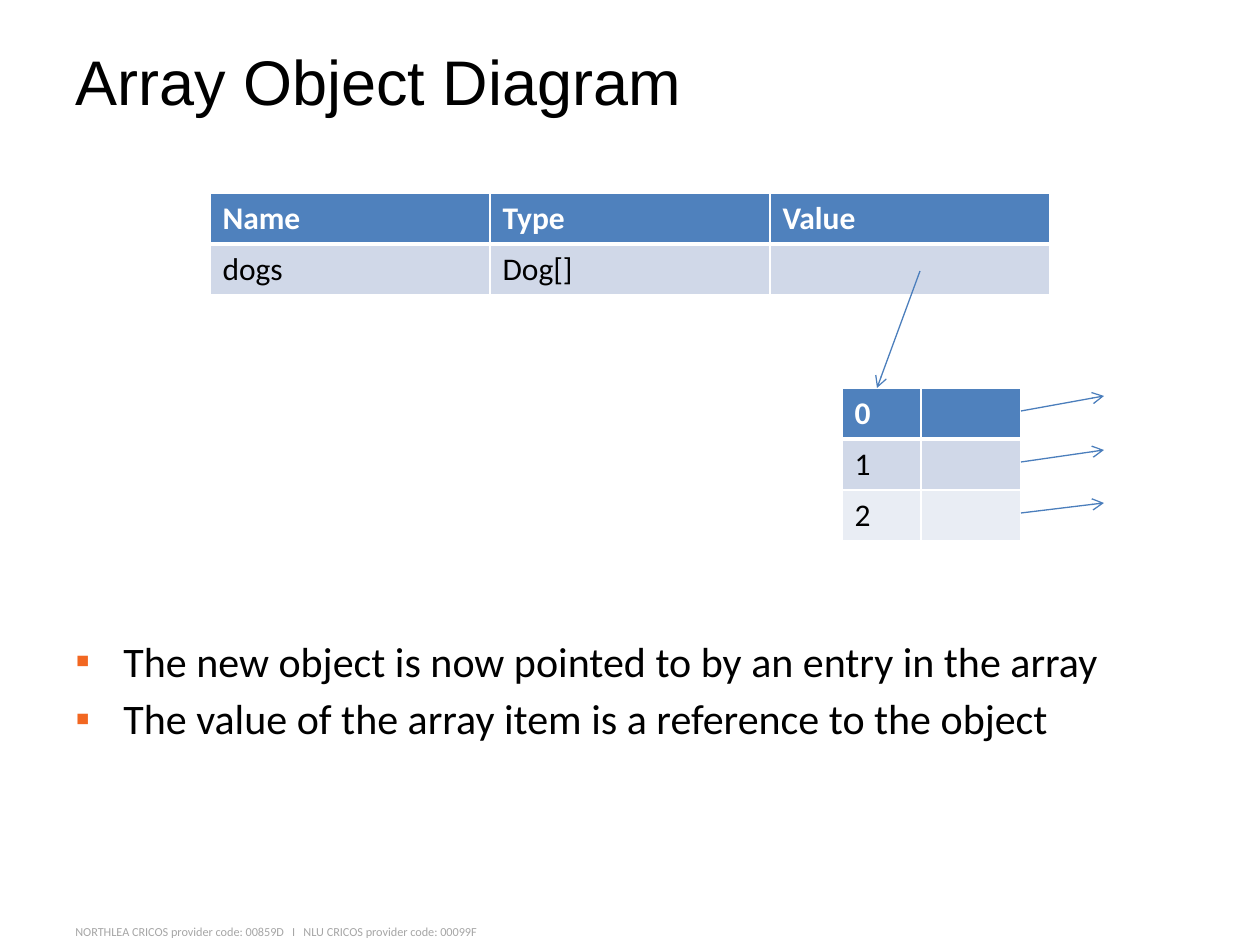
from lxml import etree
from pptx import Presentation
from pptx.dml.color import RGBColor
from pptx.enum.shapes import MSO_CONNECTOR
from pptx.enum.text import MSO_ANCHOR, MSO_AUTO_SIZE, PP_ALIGN
from pptx.oxml.ns import qn
from pptx.util import Pt

EMU_PER_PX = 914400 / 126
STRAIGHT = MSO_CONNECTOR.STRAIGHT
MIDDLE = MSO_ANCHOR.MIDDLE
NO_FIT = MSO_AUTO_SIZE.NONE
LEFT = PP_ALIGN.LEFT

BLACK = RGBColor(0x00, 0x00, 0x00)
WHITE = RGBColor(0xFF, 0xFF, 0xFF)
GREY = RGBColor(0xA6, 0xA6, 0xA6)
ORANGE = RGBColor(0xF2, 0x67, 0x21)
HEADER_BLUE = RGBColor(0x4F, 0x81, 0xBD)
ARROW_BLUE = RGBColor(0x4B, 0x7E, 0xBC)
BANDS = (RGBColor(0xE9, 0xED, 0xF4), RGBColor(0xD0, 0xD8, 0xE8))

ROW_HEIGHT = 51


def px(length):
    return round(length * EMU_PER_PX)


def add_xml(parent, tag, **attributes):
    return etree.SubElement(parent, qn(tag), attributes)


def apply_font(font, color, **values):
    font.color.rgb = color
    for name, value in values.items():
        setattr(font, name, value)


class DiagramSlide:
    """Holds the text style and the slide that elements are added to."""

    def __init__(self, presentation, font_name="Calibri"):
        self.slide = presentation.slides.add_slide(presentation.slide_layouts[5])
        self.shapes = self.slide.shapes
        self.font_name = font_name

    def title(self, text, left, top, width, height):
        title = self.shapes.title
        box = {"left": left, "top": top, "width": width, "height": height}
        for side, length in box.items():
            setattr(title, side, px(length))
        frame = title.text_frame
        frame.text = text
        for name, value in {"auto_size": NO_FIT, "vertical_anchor": MIDDLE}.items():
            setattr(frame, name, value)
        paragraph = frame.paragraphs[0]
        paragraph.alignment = LEFT
        apply_font(paragraph.runs[0].font, BLACK, name="Arial", size=Pt(36))

    def text(self, lines, left, top, width, height, size, color, bulleted=False):
        box = self.shapes.add_textbox(px(left), px(top), px(width), px(height))
        frame = box.text_frame
        frame.word_wrap = True
        frame.text = "\n".join(lines)
        for paragraph in frame.paragraphs:
            paragraph.space_before = Pt(size / 6)
            apply_font(paragraph.runs[0].font, color, name=self.font_name, size=Pt(size))
            if bulleted:
                self.bullet(paragraph)

    def bullet(self, paragraph):
        properties = paragraph._p.get_or_add_pPr()
        properties.set("marL", str(px(48)))
        properties.set("indent", str(px(-48)))
        add_xml(add_xml(properties, "a:buClr"), "a:srgbClr", val=str(ORANGE))
        add_xml(properties, "a:buFont", typeface="Arial")
        add_xml(properties, "a:buChar", char="▪")

    def table(self, rows, left, top, column_widths):
        """Add a table with a blue first row and banded rows below it."""
        frame = self.shapes.add_table(
            len(rows), len(column_widths), px(left), px(top),
            px(sum(column_widths)), px(ROW_HEIGHT * len(rows)))
        table = frame.table
        for column, width in zip(table.columns, column_widths):
            column.width = px(width)
        for r, texts in enumerate(rows):
            table.rows[r].height = px(ROW_HEIGHT)
            for c, text in enumerate(texts):
                self.cell(table.cell(r, c), text, r)

    def cell(self, cell, text, row):
        is_header = row == 0
        cell.text = text
        apply_font(cell.text_frame.paragraphs[0].font, WHITE if is_header else BLACK,
                   name=self.font_name, size=Pt(18), bold=is_header)
        properties = cell._tc.get_or_add_tcPr()
        thick_side = {0: "B", 1: "T"}.get(row)
        for side in "LRTB":
            width = Pt(3 if side == thick_side else 1)
            border = add_xml(properties, f"a:ln{side}", w=str(width))
            add_xml(add_xml(border, "a:solidFill"), "a:srgbClr", val=str(WHITE))
        cell.fill.solid()
        cell.fill.fore_color.rgb = HEADER_BLUE if is_header else BANDS[row % 2]

    def arrow(self, start, end):
        arrow = self.shapes.add_connector(STRAIGHT, *map(px, start + end))
        arrow.line.color.rgb = ARROW_BLUE
        arrow.line.width = Pt(0.75)
        add_xml(arrow.line._get_or_add_ln(), "a:tailEnd", type="arrow")
        add_xml(arrow._element.spPr, "a:effectLst")


def main():
    presentation = Presentation()
    presentation.slide_width = px(1260)
    presentation.slide_height = px(945)

    diagram = DiagramSlide(presentation)
    diagram.text(["NORTHLEA CRICOS provider code: 00859D   I   "
                  "NLU CRICOS provider code: 00099F"],
                 63, 918, 1115, 26, 7, GREY)
    diagram.title("Array Object Diagram", 63, 38, 1134, 84)
    diagram.text(["The new object is now pointed to by an entry in the array",
                  "The value of the array item is a reference to the object"],
                 63, 629, 1110, 218, 24, BLACK, bulleted=True)

    diagram.table([["Name", "Type", "Value"], ["dogs", "Dog[]", ""]],
                  210, 193, [280] * 3)
    array_left, array_top, array_widths = 842, 388, [79, 100]
    diagram.table([[str(index), ""] for index in range(3)],
                  array_left, array_top, array_widths)

    diagram.arrow((920, 271), (877, array_top))
    array_right = array_left + sum(array_widths)
    for index, target_y in enumerate((396, 450, 503)):
        diagram.arrow((array_right, 411 + index * ROW_HEIGHT), (1104, target_y))

    presentation.save("out.pptx")


if __name__ == "__main__":
    main()
